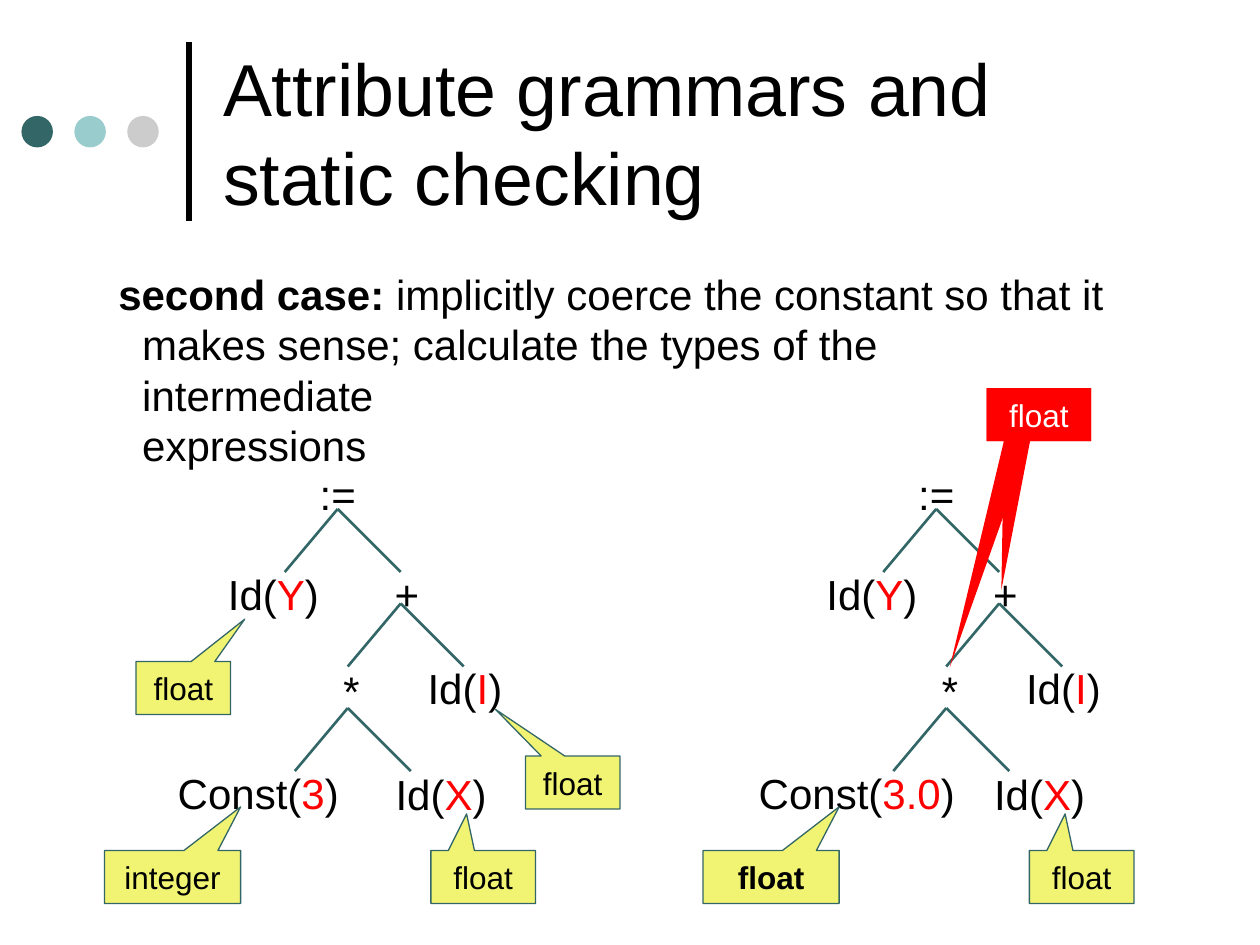
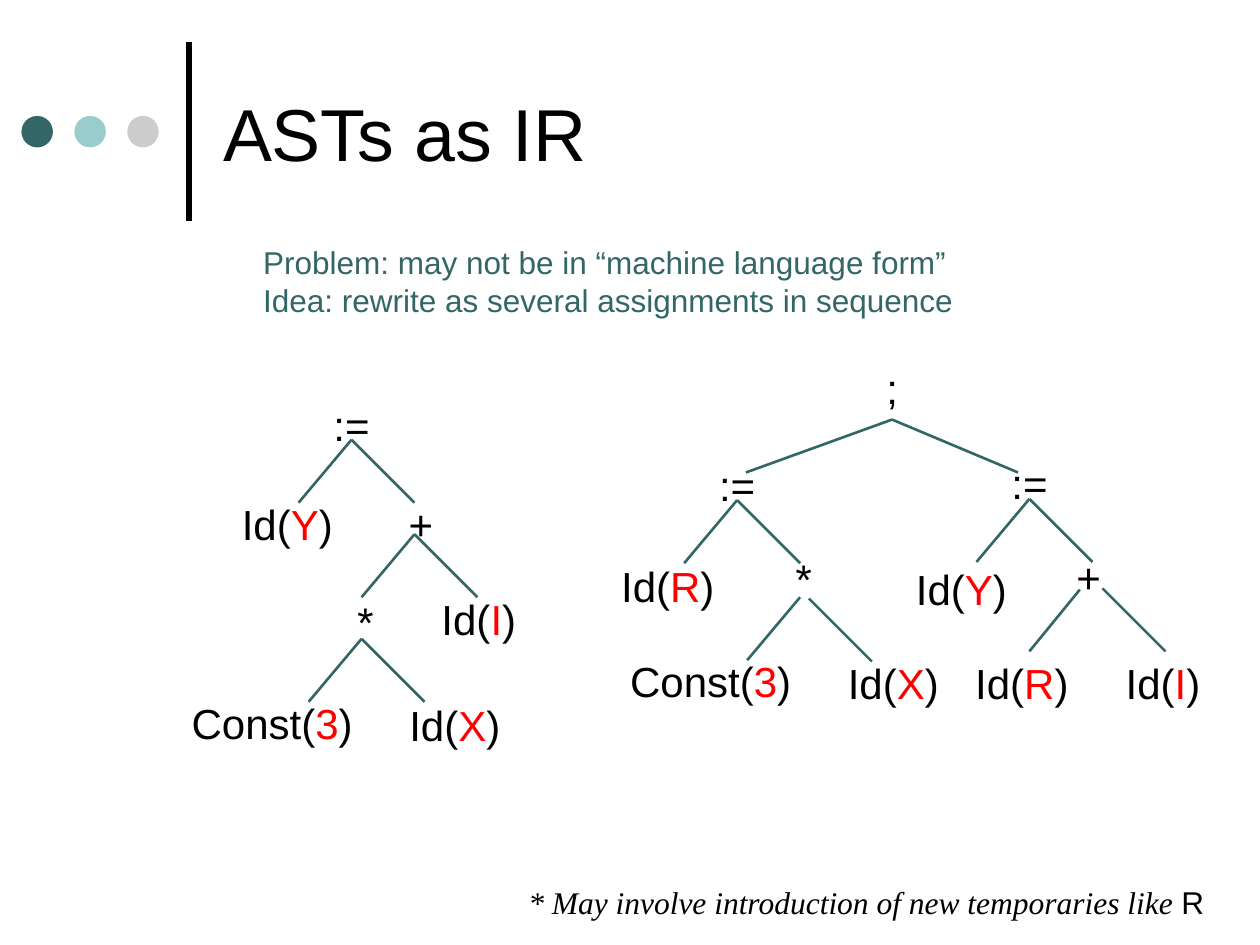
from pptx import Presentation
from pptx.dml.color import RGBColor
from pptx.enum.shapes import MSO_CONNECTOR as CONN, MSO_SHAPE as SHAPE
from pptx.enum.text import MSO_ANCHOR as ANCHOR, MSO_AUTO_SIZE as AUTO, PP_ALIGN as ALIGN
from pptx.oxml.ns import qn
from pptx.util import Inches, Pt
from lxml import etree

COLORS = {"black": "000000", "white": "FFFFFF", "red": "FF0000", "teal": "336666",
          "aqua": "99CCCC", "gray": "CCCCCC", "yellow": "F1F472"}
LABEL_WIDTHS = {":=": 0.49, "+": 0.4, "*": 0.4, ";": 0.29, "Id(I)": 0.79,
                "Id(R)": 0.94, "Const(3)": 1.48, "Const(3.0)": 1.76}
ID_WIDTH = 0.92
CALLOUT_HEIGHT = 0.42


def rgb(name):
    """Return the named colour."""
    return RGBColor.from_string(COLORS[name])


def add_run(p, text, size=24, font="Arial", color="black", bold=False, italic=False):
    """Add one formatted run to a paragraph."""
    r = p.add_run()
    r.text = text
    f = r.font
    f.size, f.name, f.bold, f.italic = Pt(size), font, bold, italic
    f.color.rgb = rgb(color)


def write(tf, paragraphs, align=ALIGN.LEFT, **fmt):
    """Fill a text frame; each paragraph is a list of (text, own format)."""
    for i, runs in enumerate(paragraphs):
        p = tf.add_paragraph() if i else tf.paragraphs[0]
        p.alignment = align
        for text, own in runs:
            add_run(p, text, **{**fmt, **own})


def add_text(shapes, x, y, w, h, paragraphs, **fmt):
    """Add an unwrapped text box that grows with its text."""
    tf = shapes.add_textbox(Inches(x), Inches(y), Inches(w), Inches(h)).text_frame
    tf.word_wrap = False
    tf.auto_size = AUTO.SHAPE_TO_FIT_TEXT
    write(tf, paragraphs, **fmt)


def add_shape(shapes, kind, x, y, w, h, fill, line=None):
    """Add a flat filled shape, outlined only if a line colour is given."""
    sp = shapes.add_shape(kind, Inches(x), Inches(y), Inches(w), Inches(h))
    sp.shadow.inherit = False
    sp.fill.solid()
    sp.fill.fore_color.rgb = rgb(fill)
    if line:
        sp.line.color.rgb = rgb(line)
        sp.line.width = Pt(0.75)
    else:
        sp.line.fill.background()
    return sp


def add_line(shapes, x1, y1, x2, y2, color="teal", width=1.5):
    """Add a straight line without a shadow."""
    c = shapes.add_connector(CONN.STRAIGHT, Inches(x1), Inches(y1), Inches(x2), Inches(y2))
    c.line.color.rgb = rgb(color)
    c.line.width = Pt(width)
    etree.SubElement(c.element.spPr, qn("a:effectLst"))


def add_node(shapes, label, cx, y):
    """Add a tree node centred on cx, its argument in red."""
    w = LABEL_WIDTHS.get(label, ID_WIDTH)
    head, bracket, rest = label.partition("(")
    runs = [(head + bracket, {"font": "Courier New" if label == "*" else "Arial"})]
    if bracket:
        runs += [(rest[:-1], {"color": "red"}), (")", {})]
    add_text(shapes, cx - w / 2, y, w, 0.5, [runs], align=ALIGN.CENTER)


def add_fork(shapes, x, y):
    """Add the two branches below a node."""
    for dx in (-0.42, 0.5):
        add_line(shapes, x, y, x + dx, y + 0.5)


def add_tree(s, dx, dy, const):
    """Add the grouped tree of Y := const * X + I, shifted by dx and dy."""
    shapes = s.shapes.add_group_shape().shapes
    for label, cx, y in [(":=", 2.68, 3.67), ("Id(Y)", 2.17, 4.46), ("+", 3.23, 4.46),
                         ("*", 2.79, 5.24), ("Id(I)", 3.69, 5.21),
                         (const, 2.05, 6.04), ("Id(X)", 3.5, 6.05)]:
        add_node(shapes, label, cx + dx, y + dy)
    for x, y in [(2.68, 4.04), (3.18, 4.79), (2.76, 5.62)]:
        add_fork(shapes, x + dx, y + dy)


def add_callout(s, x, y, w, tip, text="", fill="yellow", line="teal", **fmt):
    """Add a callout whose tip is given relative to its size."""
    sp = add_shape(s.shapes, SHAPE.RECTANGULAR_CALLOUT, x, y, w, CALLOUT_HEIGHT, fill, line)
    sp.adjustments[0], sp.adjustments[1] = tip
    if text:
        write(sp.text_frame, [[(text, {})]], align=ALIGN.CENTER, size=18, **fmt)


def new_slide(prs, title):
    """Add a slide with the shared dots, bar and title."""
    s = prs.slides.add_slide(prs.slide_layouts[5])
    add_line(s.shapes, 1.5, 1.75, 1.5, 0.33, color="black", width=3)
    for i, color in enumerate(("teal", "aqua", "gray")):
        add_shape(s.shapes, SHAPE.OVAL, 0.17 + 0.42 * i, 0.92, 0.25, 0.25, color)
    t = s.shapes.title
    t.left, t.top, t.width, t.height = (Inches(v) for v in (1.67, 0.21, 7.67, 1.67))
    tf = t.text_frame
    tf.auto_size = AUTO.NONE
    tf.vertical_anchor = ANCHOR.MIDDLE
    write(tf, [[(title, {})]], size=42)
    return s


def build_checking(prs):
    """Build the slide on static checking."""
    s = new_slide(prs, "Attribute grammars and static checking")
    tf = add_shape(s.shapes, SHAPE.RECTANGLE, 0.84, 2.08, 8.15, 1.3, "white").text_frame
    tf.word_wrap = False
    tf.auto_size = AUTO.SHAPE_TO_FIT_TEXT
    tf.vertical_anchor = ANCHOR.TOP
    write(tf, [[("second case: ", {"bold": True}),
                ("implicitly coerce the constant so that it", {})],
               [("makes sense; calculate the types of the intermediate", {})],
               [("expressions", {})]])
    for p in tf.paragraphs[1:]:
        p._p.get_or_add_pPr().set("marL", str(Inches(0.19)))

    shift = 4.75
    add_tree(s, 0, 0, "Const(3)")
    add_tree(s, shift, 0, "Const(3.0)")
    const_tip, x_tip = (0.5, -1.325), (-0.158, -1.192)
    for dx, const_type, bold in [(0, "integer", False), (shift, "float", True)]:
        add_callout(s, 0.83 + dx, 6.75, 1.08, const_tip, const_type, bold=bold)
        add_callout(s, 3.42 + dx, 6.75, 0.83, x_tip, "float")
    add_callout(s, 4.17, 6, 0.75, (-0.815, -1.379), "float")
    add_callout(s, 1.08, 5.25, 0.75, (0.65, -1.3), "float")
    red = {"fill": "red", "line": None}
    add_callout(s, 7.83, 3.08, 0.83, (-0.852, 4.779), **red)
    add_callout(s, 7.83, 3.08, 0.83, (-0.358, 3.312), "float", color="white", **red)


def build_asts(prs):
    """Build the slide on trees as intermediate representation."""
    s = new_slide(prs, "ASTs as IR")
    add_tree(s, 0.11, -0.55, "Const(3)")
    add_text(s.shapes, 1.99, 1.88, 5.68, 0.7,
             [[("Problem: may not be in “machine language form”", {})],
              [("Idea: rewrite as several assignments in sequence", {})]],
             size=18, color="teal")
    for label, cx, y in [(";", 7.08, 2.83), (":=", 5.85, 3.6), (":=", 8.17, 3.58),
                         ("Id(R)", 5.3, 4.4), ("*", 6.38, 4.35), ("Id(Y)", 7.63, 4.42),
                         ("+", 8.64, 4.33), ("Const(3)", 5.64, 5.15), ("Id(X)", 7.09, 5.17),
                         ("Id(R)", 8.11, 5.17), ("Id(I)", 9.23, 5.17)]:
        add_node(s.shapes, label, cx, y)
    add_fork(s.shapes, 5.85, 3.97)
    add_fork(s.shapes, 8.17, 3.96)
    for ends in [(7.08, 3.33, 5.92, 3.75), (7.08, 3.33, 8.08, 3.75),
                 (6.35, 4.74, 5.93, 5.24), (6.42, 4.75, 6.92, 5.25),
                 (8.57, 4.68, 8.17, 5.17), (8.75, 4.67, 9.25, 5.17)]:
        add_line(s.shapes, *ends)
    add_text(s.shapes, 4.09, 6.96, 5.57, 0.4,
             [[("* May involve introduction of new temporaries like ",
                {"font": "Times New Roman", "italic": True}), ("R", {})]],
             align=ALIGN.CENTER, size=18)


def main():
    """Build and save the presentation."""
    prs = Presentation()
    prs.slide_width, prs.slide_height = Inches(10), Inches(7.5)
    build_checking(prs)
    build_asts(prs)
    prs.save("out.pptx")


main()
